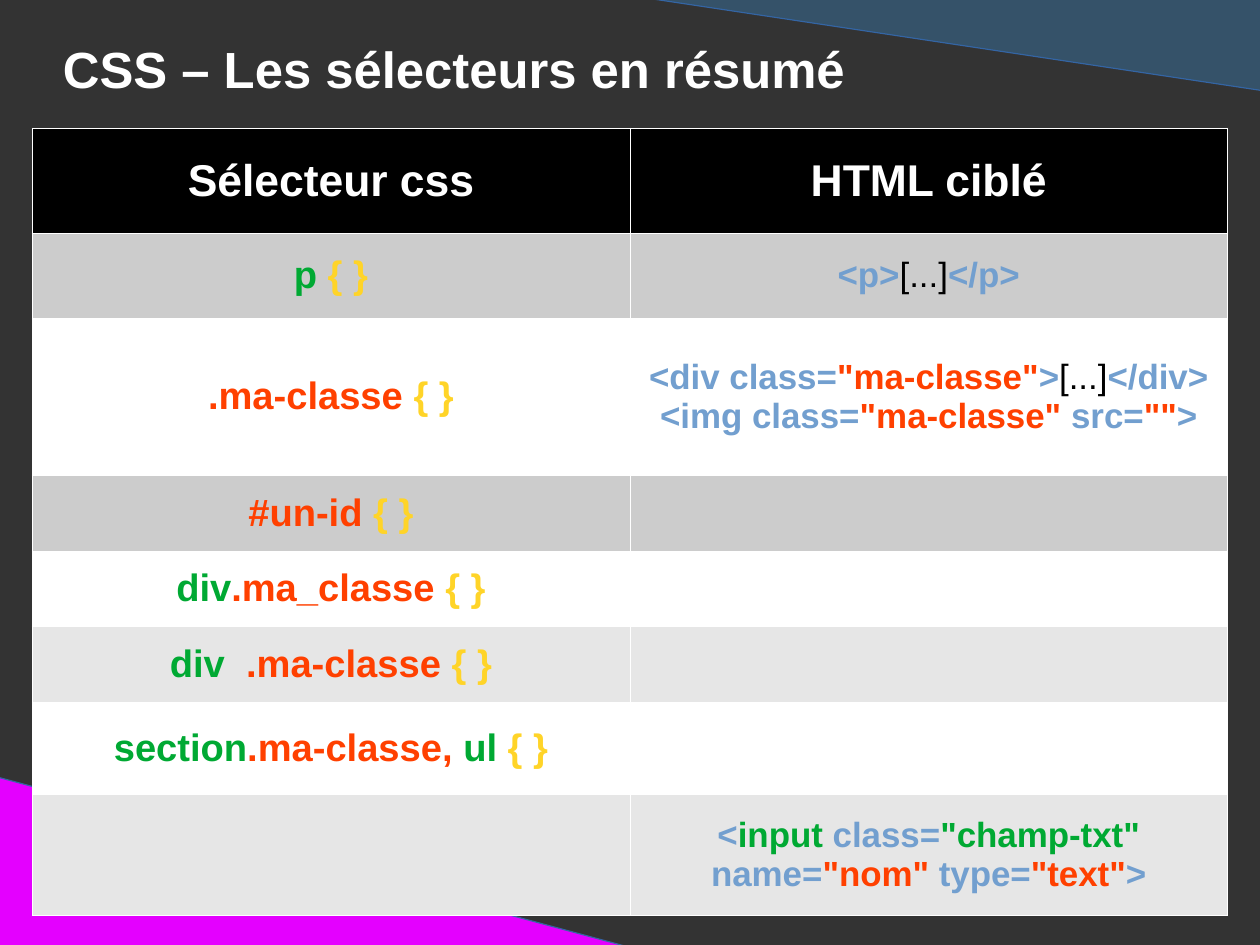
from dataclasses import dataclass
from typing import NamedTuple

from lxml import etree
from pptx import Presentation
from pptx import util as u
from pptx.dml.color import RGBColor
from pptx.enum import shapes, text
from pptx.oxml.ns import qn


@dataclass(frozen=True)
class Theme:
    font: str = "Arial"
    page: str = "333333"
    white: str = "FFFFFF"
    black: str = "000000"
    outline: str = "3465A4"
    blue: str = "355269"
    magenta: str = "E400FF"
    dark_band: str = "CCCCCC"
    light_band: str = "E6E6E6"
    element: str = "00A933"
    value: str = "FF4000"
    brace: str = "FFD428"
    markup: str = "729FCF"
    title_size: int = 32
    header_size: int = 28
    selector_size: int = 24
    html_size: int = 22


THEME = Theme()

# The page is 28 by 21 centimetres
CM_PER_INCH = 2.54
PAGE_WIDTH = 28 / CM_PER_INCH
PAGE_HEIGHT = 21 / CM_PER_INCH


class Span(NamedTuple):
    text: str
    color: str
    bold: bool = True


class Row(NamedTuple):
    height: float
    fill: str
    selector: list[Span]
    html: list[Span]


class Corner(NamedTuple):
    left: float
    top: float
    width: float
    height: float
    flip: str
    fill: str


def element(words: str) -> Span:
    return Span(words, THEME.element)


def value(words: str) -> Span:
    return Span(words, THEME.value)


def markup(words: str) -> Span:
    return Span(words, THEME.markup)


BRACES = Span("{ }", THEME.brace)
ELLIPSIS = Span("[...]", THEME.black, False)

# Triangles are turned a quarter turn to the left
CORNERS = [
    Corner(7.8, -2.49, 0.86, 5.72, "flipH", THEME.blue),
    Corner(2.07, 4.71, 1.54, 5.72, "flipV", THEME.magenta),
]

HEADER_HEIGHT = 0.92
HEADERS = ["Sélecteur css", "HTML ciblé"]
ROWS = [
    Row(0.74, THEME.dark_band, [element("p "), BRACES],
        [markup("<p>"), ELLIPSIS, markup("</p>")]),
    Row(1.38, THEME.white, [value(".ma-classe "), BRACES],
        [markup("<div class="), value('"ma-classe"'), markup(">"), ELLIPSIS,
         markup("</div>\n<img class="), value('"ma-classe"'),
         markup(" src="), value('""'), markup(">")]),
    Row(0.66, THEME.dark_band, [value("#un-id "), BRACES], []),
    Row(0.66, THEME.white, [element("div"), value(".ma_classe "), BRACES], []),
    Row(0.66, THEME.light_band, [element("div  "), value(".ma-classe "), BRACES], []),
    Row(0.81, THEME.white,
        [element("section"), value(".ma-classe, "), element("ul "), BRACES], []),
    Row(1.06, THEME.light_band, [],
        [markup("<"), element("input"), markup(" class="), element('"champ-txt"'),
         markup(" name="), value('"nom" '), markup("type="), value('"text"'),
         markup(">")]),
]


def add_run(para, words: str, *, size: int, color: str, bold: bool = True) -> None:
    for index, line in enumerate(words.split("\n")):
        if index:
            para.add_line_break()
        run = para.add_run()
        run.text = line
        run.font.name = THEME.font
        run.font.size = u.Pt(size)
        run.font.bold = bold
        run.font.color.rgb = RGBColor.from_string(color)


def add_corner(page, corner: Corner) -> None:
    shape = page.shapes.add_shape(
        shapes.MSO_SHAPE.RIGHT_TRIANGLE, u.Inches(corner.left), u.Inches(corner.top),
        u.Inches(corner.width), u.Inches(corner.height))
    shape.rotation = 270
    shape.element.spPr.find(qn("a:xfrm")).set(corner.flip, "1")
    shape.shadow.inherit = False
    shape.fill.solid()
    shape.fill.fore_color.rgb = RGBColor.from_string(corner.fill)
    shape.line.color.rgb = RGBColor.from_string(THEME.outline)
    shape.line.width = u.Pt(0)


def add_title(page, words: str) -> None:
    box = page.shapes.add_textbox(
        u.Inches(0.55), u.Inches(0.33), u.Inches(9.92), u.Inches(0.75))
    frame = box.text_frame
    frame.word_wrap = True
    frame.vertical_anchor = text.MSO_ANCHOR.MIDDLE
    frame.margin_left = frame.margin_right = frame.margin_top = 0
    frame.margin_bottom = u.Inches(0.21)
    add_run(frame.paragraphs[0], words, size=THEME.title_size, color=THEME.white)


def add_borders(cell) -> None:
    properties = cell._tc.get_or_add_tcPr()
    for index, side in enumerate(("a:lnL", "a:lnR", "a:lnT", "a:lnB")):
        border = etree.Element(qn(side), w=str(u.Pt(0.06)))
        solid = etree.SubElement(border, qn("a:solidFill"))
        etree.SubElement(solid, qn("a:srgbClr"), val=THEME.white)
        properties.insert(index, border)


def fill_cell(cell, spans: list[Span], *, size: int, fill: str) -> None:
    cell.fill.solid()
    cell.fill.fore_color.rgb = RGBColor.from_string(fill)
    add_borders(cell)
    cell.vertical_anchor = text.MSO_ANCHOR.MIDDLE
    para = cell.text_frame.paragraphs[0]
    para.alignment = text.PP_ALIGN.CENTER
    for span in spans:
        add_run(para, span.text, size=size, color=span.color, bold=span.bold)


def add_selector_table(page) -> None:
    heights = [HEADER_HEIGHT] + [row.height for row in ROWS]
    table = page.shapes.add_table(
        len(heights), len(HEADERS), u.Inches(0.28), u.Inches(1.12),
        u.Inches(10.46), u.Inches(sum(heights))).table
    table.first_row = table.horz_banding = False
    for line, height in zip(table.rows, heights):
        line.height = u.Inches(height)

    # Header row
    for column, words in enumerate(HEADERS):
        fill_cell(table.cell(0, column), [Span(words, THEME.white)],
                  size=THEME.header_size, fill=THEME.black)

    # Selector and matching HTML
    for index, row in enumerate(ROWS, start=1):
        fill_cell(table.cell(index, 0), row.selector,
                  size=THEME.selector_size, fill=row.fill)
        fill_cell(table.cell(index, 1), row.html, size=THEME.html_size, fill=row.fill)


def main() -> None:
    deck = Presentation()
    deck.slide_width, deck.slide_height = u.Inches(PAGE_WIDTH), u.Inches(PAGE_HEIGHT)
    page = deck.slides.add_slide(deck.slide_layouts[6])
    page.background.fill.solid()
    page.background.fill.fore_color.rgb = RGBColor.from_string(THEME.page)
    for corner in CORNERS:
        add_corner(page, corner)
    add_title(page, "CSS – Les sélecteurs en résumé")
    add_selector_table(page)
    deck.save("out.pptx")


if __name__ == "__main__":
    main()
